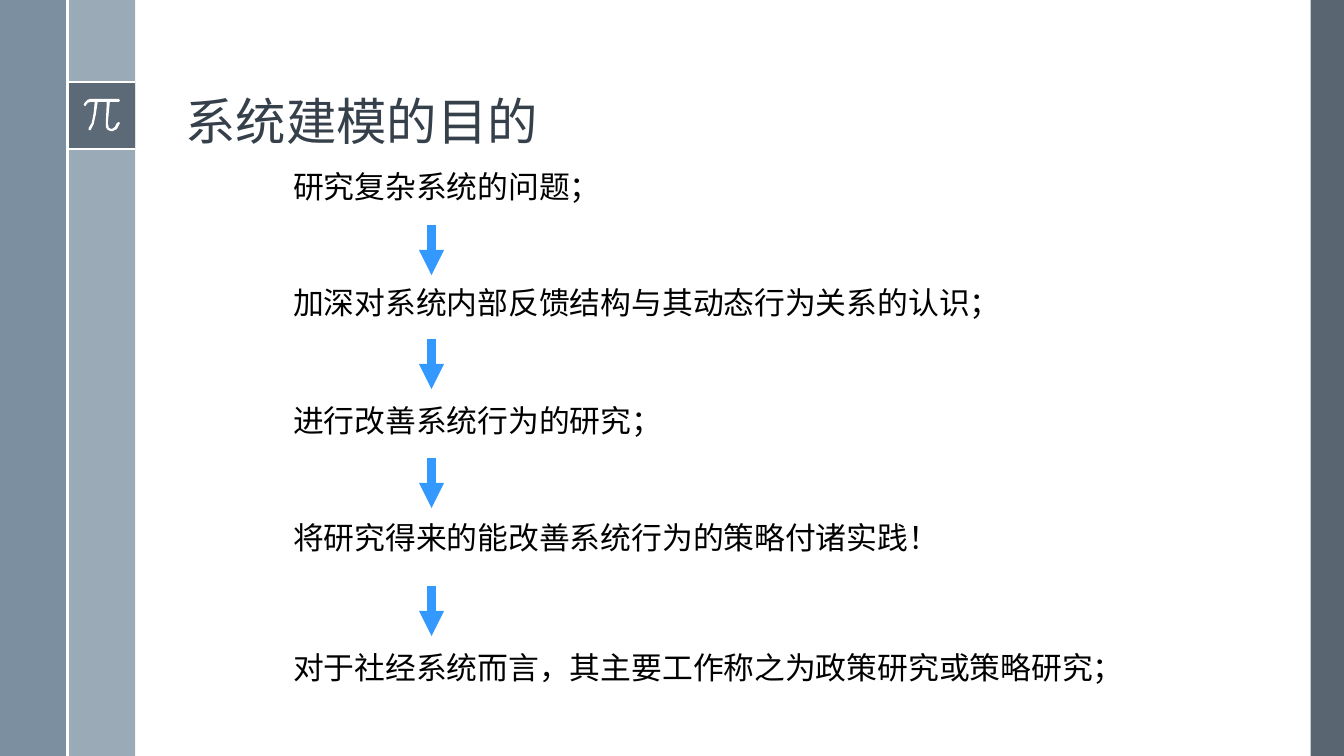
from lxml import etree
from pptx import Presentation
from pptx.dml.color import RGBColor
from pptx.enum.shapes import MSO_CONNECTOR as Connector, MSO_SHAPE as Shape
from pptx.enum.text import MSO_ANCHOR as Anchor, MSO_AUTO_SIZE as AutoSize
from pptx.oxml.ns import qn
from pptx.util import Inches, Pt

TITLE = "系统建模的目的"
# text, top of its box, top of the arrow below it
STEPS = [
    ("研究复杂系统的问题；", 1.52, 2.23),
    ("加深对系统内部反馈结构与其动态行为关系的认识；", 2.67, 3.36),
    ("进行改善系统行为的研究；", 3.84, 4.54),
    ("将研究得来的能改善系统行为的策略付诸实践！", 5.01, 5.81),
    ("对于社经系统而言，其主要工作称之为政策研究或策略研究；", 6.3, None),
]
PI_OUTLINE = [
    (1.18, 0.98), (0.9, 0.98), (0.87, 0.99), (0.84, 1.02), (0.83, 1.04), (0.84, 1.05),
    (0.85, 1.05), (0.87, 1.02), (0.9, 1.01), (0.94, 1.01), (0.93, 1.12), (0.91, 1.22),
    (0.88, 1.27), (0.88, 1.29), (0.9, 1.29), (0.93, 1.23), (0.95, 1.14), (0.97, 1.01),
    (1.06, 1.01), (1.05, 1.22), (1.05, 1.26), (1.07, 1.29), (1.1, 1.3), (1.12, 1.3),
    (1.16, 1.28), (1.19, 1.22), (1.18, 1.21), (1.16, 1.22), (1.14, 1.26), (1.11, 1.28),
    (1.08, 1.27), (1.07, 1.22), (1.09, 1.01), (1.18, 1.01), (1.19, 1.0),
]

WHITE = RGBColor(0xFF, 0xFF, 0xFF)
BLACK = RGBColor(0x00, 0x00, 0x00)
SLATE = RGBColor(0x47, 0x55, 0x62)
STEEL = RGBColor(0x6A, 0x80, 0x93)
MIST = RGBColor(0x9B, 0xAA, 0xB7)
TITLE_INK = RGBColor(0x35, 0x40, 0x4A)
ARROW_BLUE = RGBColor(0x33, 0x99, 0xFF)
CJK_FONT = "Noto Sans CJK SC"

WIDTH, HEIGHT = 13.33, 7.5
BAND = 0.67
BADGE_TOP = 0.81
STEP_LEFT, STEP_WIDTH, STEP_HEIGHT = 2.81, 9.11, 0.56
ARROW_X, ARROW_LENGTH = 4.28, 0.5

# left, top, width, height, colour, opacity in percent
BANDS = [
    (13, 0, WIDTH - 13, HEIGHT, SLATE, 90),
    (BAND, 0, BAND, HEIGHT, MIST, 100),
    (0, 0, BAND, HEIGHT, STEEL, 88),
    (BAND, BADGE_TOP, BAND, BAND, SLATE, 75),
]
RULES = [
    (BAND, BADGE_TOP, 2 * BAND, BADGE_TOP),
    (BAND, BADGE_TOP + BAND, 2 * BAND, BADGE_TOP + BAND),
    (BAND, 0, BAND, HEIGHT),
]
TITLE_FORMAT = {"size": Pt(36), "name": CJK_FONT}
STEP_FORMAT = {"size": Pt(22), "name": "Arial"}


def fill_plain(shape, colour, opacity=100):
    shape.shadow.inherit = False
    shape.line.fill.background()
    shape.fill.solid()
    shape.fill.fore_color.rgb = colour
    if opacity < 100:
        tint = shape.fill._xPr.find(qn("a:solidFill"))[0]
        etree.SubElement(tint, qn("a:alpha")).set("val", str(opacity * 1000))


def add_line(slide, ends, colour, weight, arrow=False):
    line = slide.shapes.add_connector(Connector.STRAIGHT, *map(Inches, ends))
    line.line.color.rgb = colour
    line.line.width = Pt(weight)
    if arrow:
        head = etree.SubElement(line.line._get_or_add_ln(), qn("a:tailEnd"))
        head.set("type", "triangle")
    etree.SubElement(line._element.spPr, qn("a:effectLst"))


def add_text(slide, box, text, colour, spacing, font_format, frame_format):
    frame = slide.shapes.add_textbox(*map(Inches, box)).text_frame
    frame.word_wrap = True
    for key, value in frame_format.items():
        setattr(frame, key, value)
    paragraph = frame.paragraphs[0]
    paragraph.line_spacing = spacing
    run = paragraph.add_run()
    run.text = text
    for key, value in font_format.items():
        setattr(run.font, key, value)
    run.font.color.rgb = colour
    east_asian = etree.SubElement(run.font._element, qn("a:ea"))
    east_asian.set("typeface", CJK_FONT)


def main():
    deck = Presentation()
    deck.slide_width, deck.slide_height = Inches(WIDTH), Inches(HEIGHT)
    slide = deck.slides.add_slide(deck.slide_layouts[6])

    for *box, colour, opacity in BANDS:
        band = slide.shapes.add_shape(Shape.RECTANGLE, *map(Inches, box))
        fill_plain(band, colour, opacity)
    for ends in RULES:
        add_line(slide, ends, WHITE, 1.5)

    start, *rest = [(Inches(x), Inches(y)) for x, y in PI_OUTLINE]
    builder = slide.shapes.build_freeform(*start)
    builder.add_line_segments(rest, close=True)
    fill_plain(builder.convert_to_shape(), WHITE)

    add_text(slide, (1.74, 0.19, 10.7, 1.36), TITLE, TITLE_INK, 0.9,
             TITLE_FORMAT, {"vertical_anchor": Anchor.BOTTOM})
    for text, top, arrow_top in STEPS:
        add_text(slide, (STEP_LEFT, top, STEP_WIDTH, STEP_HEIGHT), text, BLACK, 1.25,
                 STEP_FORMAT, {"auto_size": AutoSize.SHAPE_TO_FIT_TEXT})
        if arrow_top is not None:
            ends = (ARROW_X, arrow_top, ARROW_X, arrow_top + ARROW_LENGTH)
            add_line(slide, ends, ARROW_BLUE, 6, arrow=True)

    deck.save("out.pptx")


if __name__ == "__main__":
    main()
